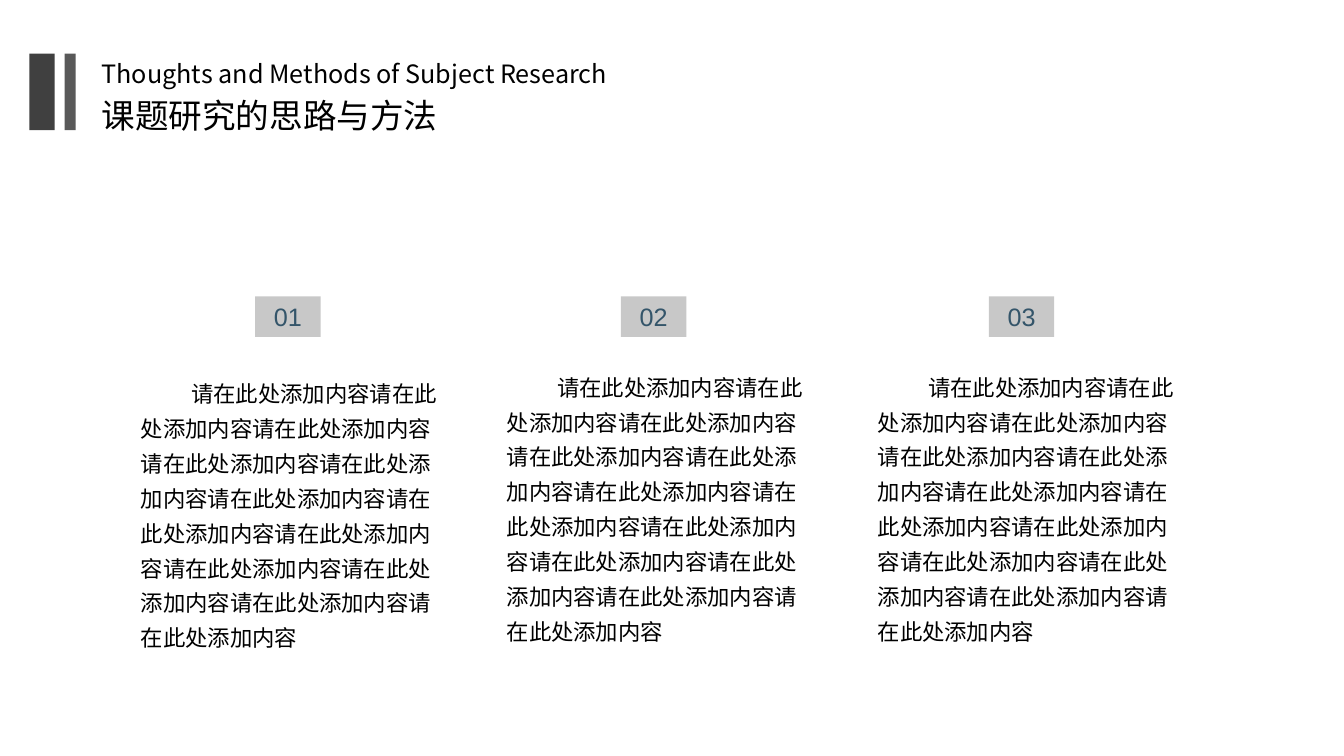
"""Build the slide on the thoughts and methods of subject research."""
from pptx import Presentation
from pptx import util as u
from pptx.dml.color import RGBColor
from pptx.enum import shapes, text
from pptx.oxml.ns import qn
from lxml import etree

COLORS = {
    "wide_bar": "404040",
    "narrow_bar": "595959",
    "badge": "C8C8C8",
    "number": "34556A",
    "text": "000000",
}
CJK_FONT = "Noto Sans CJK SC"
BODY = "请在此处添加内容" * 12


def add_box(left, top, width, height, color):
    shape = slide.shapes.add_shape(
        shapes.MSO_SHAPE.RECTANGLE, u.Cm(left), u.Cm(top), u.Cm(width), u.Cm(height))
    shape.shadow.inherit = False
    shape.fill.solid()
    shape.fill.fore_color.rgb = RGBColor.from_string(COLORS[color])
    shape.line.fill.background()
    return shape


def write(shape, content, size, font, color, wrap=True):
    frame = shape.text_frame
    frame.word_wrap = wrap
    frame.auto_size = text.MSO_AUTO_SIZE.SHAPE_TO_FIT_TEXT
    paragraph = frame.paragraphs[0]
    run = paragraph.add_run()
    run.text = content
    run.font.size = u.Pt(size)
    run.font.name = font
    run.font.color.rgb = RGBColor.from_string(COLORS[color])
    etree.SubElement(run.font._element, qn("a:ea"), typeface=font)
    return paragraph


presentation = Presentation()
presentation.slide_width = u.Cm(33.87)
presentation.slide_height = u.Cm(19.05)
slide = presentation.slides.add_slide(presentation.slide_layouts[6])

add_box(0.74, 1.35, 0.64, 1.93, "wide_bar")
add_box(1.63, 1.35, 0.28, 1.93, "narrow_bar")

titles = [
    ("课题研究的思路与方法", 2.26, 8.97, 1.27, 24, False),
    ("Thoughts and Methods of Subject Research", 1.35, 17.12, 1.02, 18, True),
]
for title, top, width, height, size, wrap in titles:
    title_box = slide.shapes.add_textbox(u.Cm(2.31), u.Cm(top), u.Cm(width), u.Cm(height))
    write(title_box, title, size, CJK_FONT, "text", wrap)

columns = [("01", 6.43, 3.3, 9.25), ("02", 15.65, 12.52, 9.09), ("03", 24.92, 21.87, 9.09)]
for number, badge_left, body_left, body_top in columns:
    body_box = slide.shapes.add_textbox(
        u.Cm(body_left), u.Cm(body_top), u.Cm(8.31), u.Cm(8.26))
    paragraph = write(body_box, BODY, 16, CJK_FONT, "text")
    paragraph.line_spacing = 1.3
    paragraph._p.get_or_add_pPr().set("indent", str(u.Cm(1.27)))

    badge = add_box(badge_left, 7.47, 1.65, 1.02, "badge")
    paragraph = write(badge, number, 18, "Arial", "number")
    paragraph.alignment = text.PP_ALIGN.CENTER

presentation.save("out.pptx")
